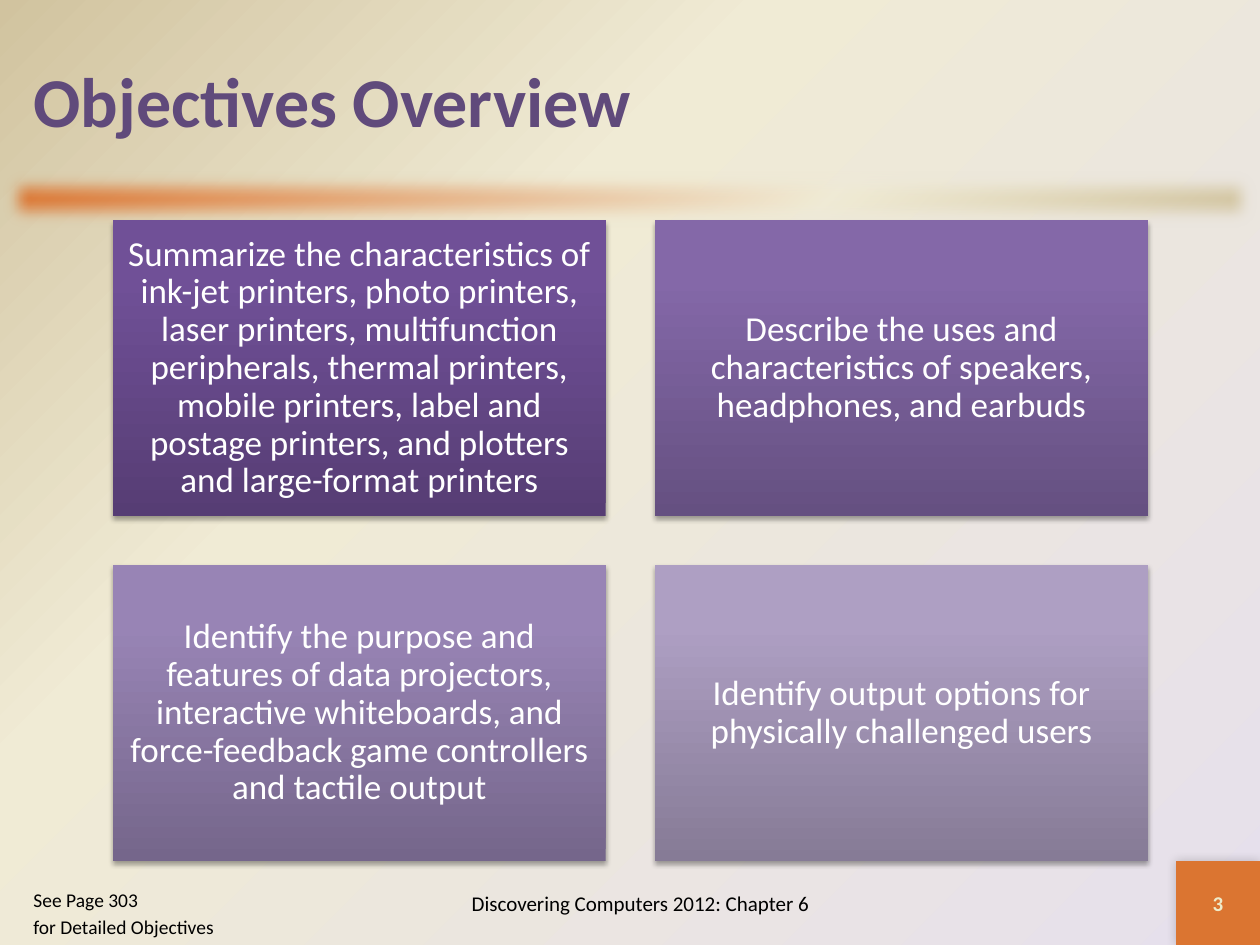
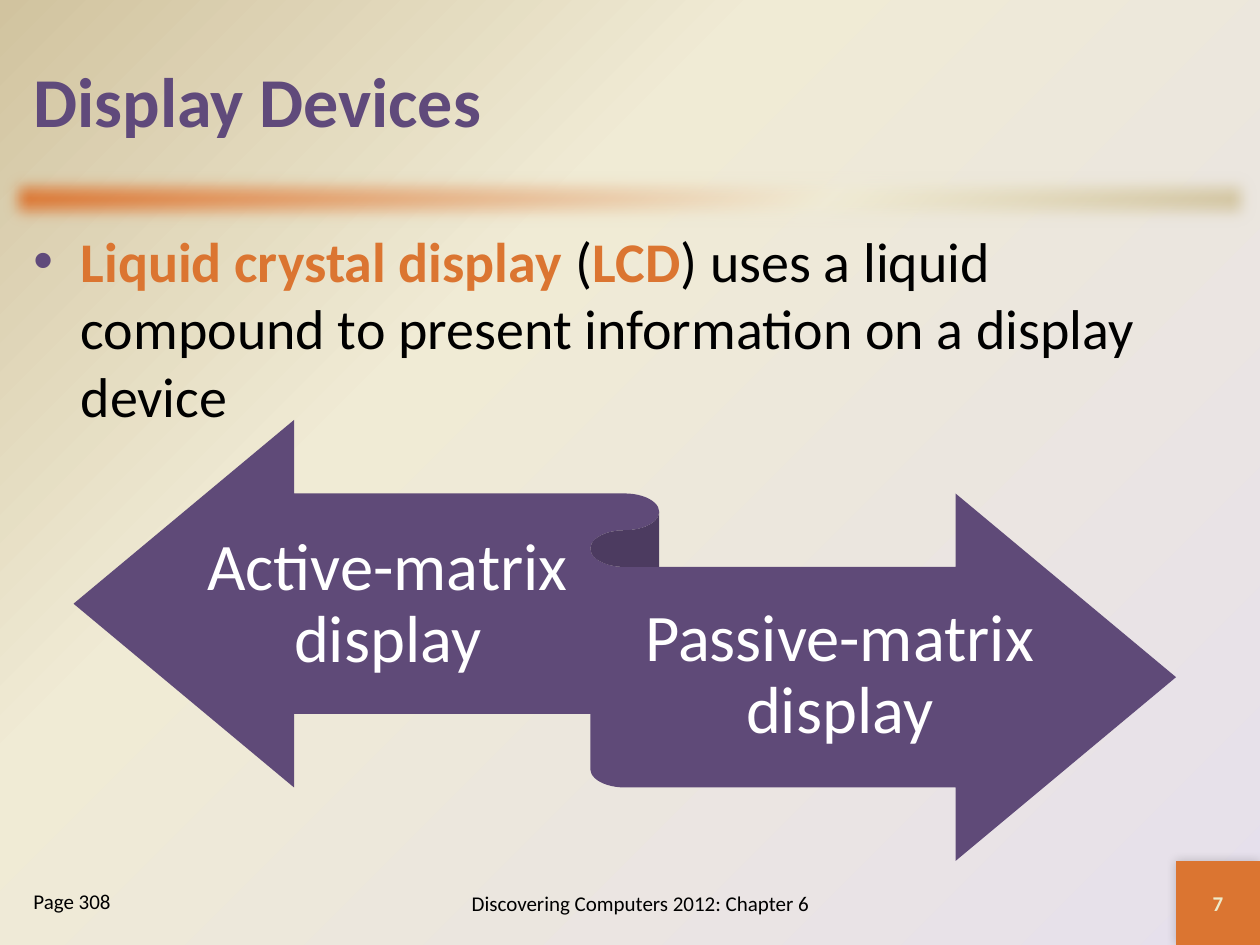
from lxml.etree import SubElement
from pptx import Presentation
from pptx.dml.color import RGBColor
from pptx.enum.shapes import MSO_SHAPE
from pptx.enum.text import MSO_ANCHOR, PP_ALIGN
from pptx.oxml.ns import qn
from pptx.util import Pt

FONT = "Calibri"
PURPLE = RGBColor(0x60, 0x4A, 0x7B)
RIBBON = RGBColor(0x5F, 0x4A, 0x78)
ORANGE = RGBColor(0xDB, 0x75, 0x31)
CREAM = RGBColor(0xF0, 0xEB, 0xD5)
TAN = RGBColor(0xD1, 0xC3, 0x9F)
LILAC = RGBColor(0xE6, 0xE0, 0xEC)
PALE = RGBColor(0xEE, 0xEB, 0xCA)
WHITE = RGBColor(0xFF, 0xFF, 0xFF)
BLACK = RGBColor(0, 0, 0)

CORNER = (672, 492, 48, 48)
FOOTER = "Discovering Computers 2012: Chapter 6"

# Each card: text, then its gradient from bottom to top
CARDS = [
    ("Summarize the characteristics of ink-jet printers, photo printers, "
     "laser printers, multifunction peripherals, thermal printers, mobile "
     "printers, label and postage printers, and plotters and large-format "
     "printers", ("563D74", "705097", "704F99")),
    ("Describe the uses and characteristics of speakers, headphones, "
     "and earbuds", ("655081", "8468A8", "8467AA")),
    ("Identify the purpose and features of data projectors, interactive "
     "whiteboards, and force-feedback game controllers and tactile output",
     ("75668B", "9884B5", "9984B7")),
    ("Identify output options for physically challenged users",
     ("867B96", "AE9FC3", "AE9FC4")),
]


def node(parent, tag, **attrs):
    return SubElement(parent, qn(tag), {k: str(v) for k, v in attrs.items()})


def tint(parent, color):
    return node(parent, "a:srgbClr", val=color)


def blend(owner, fill, stops, angle=None):
    """Fill with a gradient; without an angle it spreads from bottom right."""
    fill.gradient()
    grad = next(owner.iter(qn("a:gradFill")))
    grad.clear()
    grad.set("rotWithShape", "1")
    points = node(grad, "a:gsLst")
    for place, color in stops:
        tint(node(points, "a:gs", pos=place * 1000), color)
    if angle is None:
        ring = node(grad, "a:path", path="circle")
        node(ring, "a:fillToRect", l=100000, t=100000)
        node(grad, "a:tileRect", r=-100000, b=-100000)
    else:
        node(grad, "a:lin", ang=angle * 60000, scaled=0)


def effects(shape):
    return shape.element.spPr.find(qn("a:effectLst"))


def shade(shape, alpha, blur, dist, angle):
    drop = node(effects(shape), "a:outerShdw", blurRad=Pt(blur),
                dist=Pt(dist), dir=angle * 60000, rotWithShape=0)
    node(tint(drop, BLACK), "a:alpha", val=alpha * 1000)


def block(slide, kind, area, color=None):
    shape = slide.shapes.add_shape(kind, *map(Pt, area))
    shape.line.fill.background()
    shape.shadow.inherit = False
    if color is not None:
        shape.fill.solid()
        shape.fill.fore_color.rgb = color
    return shape


def style(font, size, color, bold=False):
    font.name, font.size, font.bold = FONT, Pt(size), bold
    font.color.rgb = color


def write(shape, text, size, color, bold=False, align=PP_ALIGN.LEFT,
          anchor=MSO_ANCHOR.MIDDLE, lines=None, before=0):
    frame = shape.text_frame
    frame.word_wrap = True
    frame.vertical_anchor = anchor
    frame.text = text
    for i, para in enumerate(frame.paragraphs):
        para.alignment = align
        para.line_spacing = lines
        if i:
            para.space_before = Pt(before)
        for run in para.runs:
            style(run.font, size, color, bold)
    return frame


def label(slide, area, *args, **opts):
    return write(slide.shapes.add_textbox(*map(Pt, area)), *args, **opts)


def dress(layout, slide):
    """Give the layout its background, band and corner square."""
    blend(layout.element, layout.background.fill,
          [(0, LILAC), (65, CREAM), (100, TAN)])
    band = block(slide, MSO_SHAPE.RECTANGLE, (0, 96, 720, 36))
    blend(band.element, band.fill, [(0, ORANGE), (65, CREAM), (100, TAN)], 45)
    node(effects(band), "a:softEdge", rad=Pt(10))
    square = block(slide, MSO_SHAPE.RECTANGLE, CORNER, ORANGE)
    shade(square, 20, 6, 0, 225)
    for shape in (band, square):
        layout.element.cSld.spTree.append(shape.element)


def start(deck, layout, title, number, page, size):
    """Add a slide with its title and footers."""
    slide = deck.slides.add_slide(layout)
    head = slide.shapes.title
    head.left, head.top, head.width, head.height = map(Pt, (12, 12, 696, 90))
    write(head, title, 40, PURPLE, bold=True)
    label(slide, (216, 498, 300, 36), FOOTER, 12, BLACK,
          align=PP_ALIGN.CENTER)
    label(slide, CORNER, number, 12, PALE, bold=True, align=PP_ALIGN.CENTER)
    label(slide, (12, 504, 132, 36), page, size, BLACK,
          anchor=MSO_ANCHOR.TOP, before=2.2)
    return slide


def card(slide, spot, text, colors):
    row, col = divmod(spot, 2)
    area = (64.6 + 309.8 * col, 126 + 197 * row, 281.5, 168.9)
    shape = block(slide, MSO_SHAPE.RECTANGLE, area)
    blend(shape.element, shape.fill, zip((0, 80, 100), colors), 270)
    shade(shape, 35, 3.1, 1.8, 90)
    frame = write(shape, text, 20, WHITE, align=PP_ALIGN.CENTER, lines=0.9)
    frame.margin_left = frame.margin_right = Pt(6)
    frame.margin_top = frame.margin_bottom = Pt(6)


def bullet(slide, area, parts):
    """Write one bulleted paragraph from (text, is key term) parts."""
    frame = slide.shapes.add_textbox(*map(Pt, area)).text_frame
    frame.word_wrap = True
    para = frame.paragraphs[0]
    props = para._p.get_or_add_pPr()
    props.set("marL", str(Pt(27)))
    props.set("indent", str(Pt(-27)))
    tint(node(props, "a:buClr"), PURPLE)
    node(props, "a:buFont", typeface="Arial")
    node(props, "a:buChar", char="•")
    for text, key in parts:
        run = para.add_run()
        run.text = text
        style(run.font, 32, ORANGE if key else BLACK, key)


def arrow(slide, area, text):
    frame = label(slide, area, text, 38, WHITE, align=PP_ALIGN.CENTER,
                  lines=0.9)
    frame.margin_left = frame.margin_right = 0
    frame.margin_top = frame.margin_bottom = Pt(11)


def main():
    deck = Presentation()
    deck.slide_width, deck.slide_height = Pt(720), Pt(540)
    layout = deck.slide_layouts[5]

    goals = start(deck, layout, "Objectives Overview", "3",
                  "See Page 303\nfor Detailed Objectives", 11.1)
    dress(layout, goals)
    for spot, (text, colors) in enumerate(CARDS):
        card(goals, spot, text, colors)

    screens = start(deck, layout, "Display Devices", "7", "Page 308", 12)
    bullet(screens, (12, 126, 696, 366), [
        ("Liquid crystal display ", True), ("(", False), ("LCD", True),
        (") uses a liquid compound to present information on a display "
         "device", False)])
    block(screens, MSO_SHAPE.LEFT_RIGHT_RIBBON, (42, 240, 630, 252), RIBBON)
    arrow(screens, (117.6, 284, 207.9, 123.5), "Active-matrix display")
    arrow(screens, (357, 324.5, 245.7, 123.5), "Passive-matrix display")

    deck.save("out.pptx")


if __name__ == "__main__":
    main()
